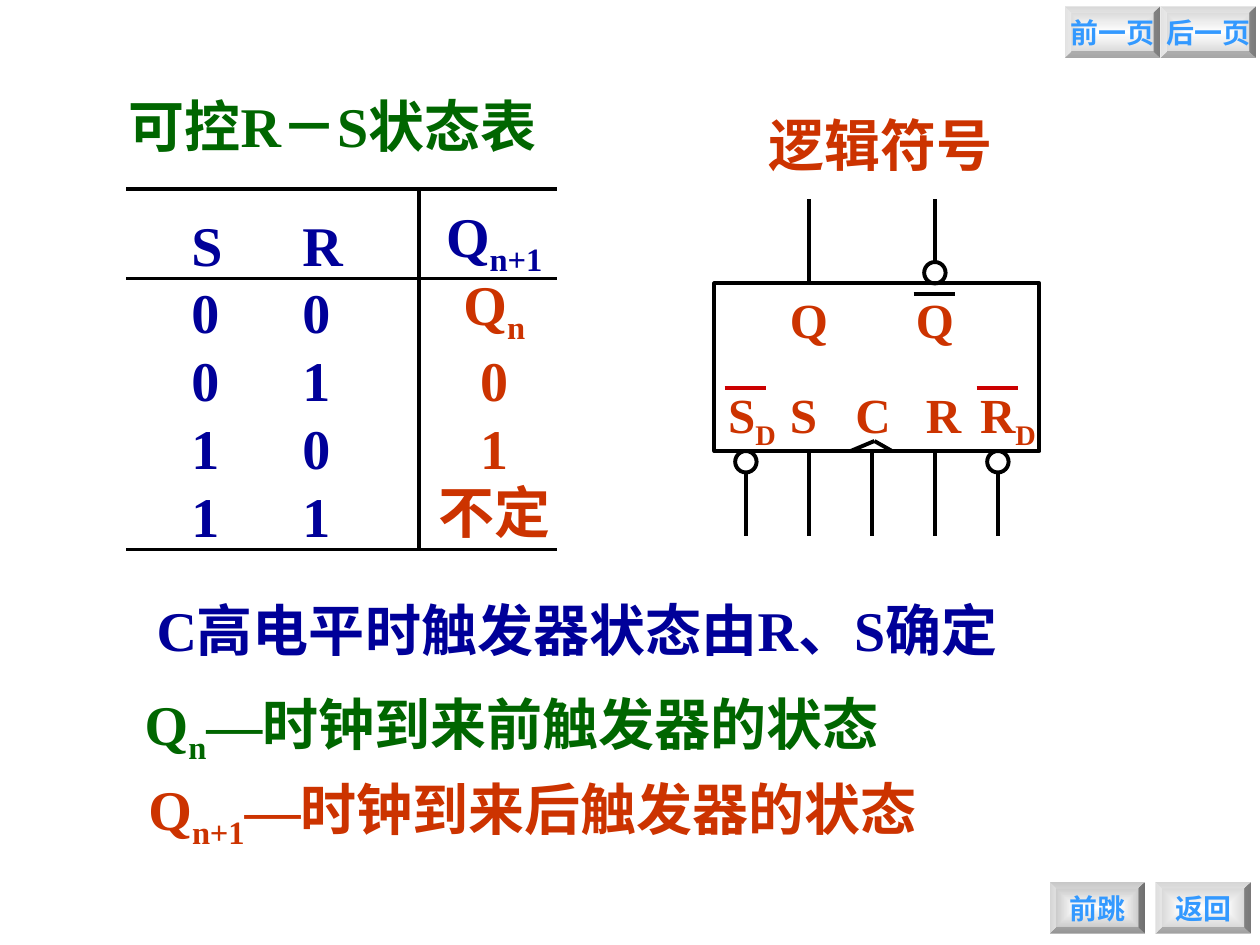
from dataclasses import dataclass

from lxml import etree
from pptx import Presentation
from pptx import util as u
from pptx.dml.color import RGBColor
from pptx.enum import shapes, text
from pptx.oxml.ns import qn


@dataclass(frozen=True)
class Theme:
    font: str = "Times New Roman"
    large: int = 32
    label: int = 28
    button: int = 16
    stroke: float = 2.25
    black: str = "000000"
    white: str = "FFFFFF"
    green: str = "006600"
    blue: str = "000099"
    orange: str = "CC3300"
    red: str = "CC0000"
    sky: str = "3399FF"


THEME = Theme()
LEFT, CENTER = text.PP_ALIGN.LEFT, text.PP_ALIGN.CENTER
TOP, MIDDLE, BOTTOM = (text.MSO_ANCHOR.TOP, text.MSO_ANCHOR.MIDDLE,
                       text.MSO_ANCHOR.BOTTOM)


def inches(*lengths):
    return [u.Inches(length) for length in lengths]


def write(para, parts, size, color, align=LEFT):
    """Write parts as runs; every second part is a subscript."""
    para.alignment = align
    para.font.name, para.font.size, para.font.bold = THEME.font, u.Pt(size), True
    para.font.color.rgb = RGBColor.from_string(color)
    for index, part in enumerate(parts):
        span = para.add_run()
        span.text = part
        if index % 2:
            span._r.get_or_add_rPr().set("baseline", "-25000")


def add_text(page, area, parts, size, color, align=LEFT, anchor=TOP):
    box = page.shapes.add_textbox(*inches(*area))
    box.text_frame.word_wrap = True
    box.text_frame.vertical_anchor = anchor
    write(box.text_frame.paragraphs[0], parts, size, color, align)


def add_line(page, start, end, color=THEME.black):
    line = page.shapes.add_connector(
        shapes.MSO_CONNECTOR.STRAIGHT, *inches(*start, *end))
    line.line.color.rgb = RGBColor.from_string(color)
    line.line.width = u.Pt(THEME.stroke)
    etree.SubElement(line.element.spPr, qn("a:effectLst"))


def add_outline(page, kind, area):
    shape = page.shapes.add_shape(kind, *inches(*area))
    shape.shadow.inherit = False
    shape.fill.background()
    shape.line.color.rgb = RGBColor.from_string(THEME.black)
    shape.line.width = u.Pt(THEME.stroke)


def set_borders(cell, visible):
    """Draw the named cell sides in black and hide the others."""
    properties = cell._tc.get_or_add_tcPr()
    for index, side in enumerate(("lnL", "lnR", "lnT", "lnB")):
        border = etree.Element(qn(f"a:{side}"), w=str(u.Pt(THEME.stroke)))
        if side in visible:
            fill = etree.SubElement(border, qn("a:solidFill"))
            etree.SubElement(fill, qn("a:srgbClr"), val=THEME.black)
        else:
            etree.SubElement(border, qn("a:noFill"))
        properties.insert(index, border)


def add_title(page, area):
    title = page.shapes.title
    title.left, title.top, title.width, title.height = inches(*area)
    title.text_frame.word_wrap = True
    title.text_frame.vertical_anchor = MIDDLE
    write(title.text_frame.paragraphs[0], ["可控R－S状态表"],
          THEME.large, THEME.green)


def add_state_table(page, area):
    rows = [
        (["S"], ["R"], ["Q", "n+1"]),
        (["0"], ["0"], ["Q", "n"]),
        (["0"], ["1"], ["0"]),
        (["1"], ["0"], ["1"]),
        (["1"], ["1"], ["不定"]),
    ]
    margins = (0.52, 0.1, 0.1)
    header_height = 0.71
    left, top, width, height = area
    table = page.shapes.add_table(len(rows), 3, *inches(*area)).table
    table.first_row = table.horz_banding = False
    for column, share in zip(table.columns, (0.38, 0.3, 0.32)):
        column.width = u.Inches(width * share)
    for r, row in enumerate(rows):
        table.rows[r].height = u.Inches(
            header_height if r == 0 else (height - header_height) / (len(rows) - 1))
        for c, parts in enumerate(row):
            cell = table.cell(r, c)
            cell.fill.background()
            cell.vertical_anchor = BOTTOM
            cell.margin_left = u.Inches(margins[c])
            cell.margin_right = cell.margin_top = cell.margin_bottom = 0
            result = c == 2
            color = THEME.orange if result and r else THEME.blue
            para = cell.text_frame.paragraphs[0]
            para.line_spacing = u.Pt(38)
            write(para, parts, THEME.large, color, CENTER if result else LEFT)
            sides = {"lnL" if result else "lnR"} if c else set()
            if r < 2:
                sides.add("lnT")
            if r in (0, len(rows) - 1):
                sides.add("lnB")
            set_borders(cell, sides)


def add_logic_symbol(page, area):
    """Draw the flip-flop block with its pins, bubbles and labels."""
    left, top, width, height = area
    bottom = top + height
    lead, bubble, pitch = 0.67, 0.17, 0.5
    pins = [left + 0.25 + pitch * i for i in range(5)]
    add_text(page, (left + 0.33, top - 1.42, 2.2, 0.64), ["逻辑符号"],
             THEME.large, THEME.orange)
    add_outline(page, shapes.MSO_SHAPE.RECTANGLE, area)

    leads = [(pins[1], top, -1, False), (pins[3], top, -1, True)]
    leads += [(x, bottom, 1, i in (0, 4)) for i, x in enumerate(pins)]
    for x, edge, direction, inverted in leads:
        start = edge
        if inverted:
            start += direction * bubble
            add_outline(page, shapes.MSO_SHAPE.OVAL,
                        (x - bubble / 2, min(edge, start), bubble, bubble))
        add_line(page, (x, start), (x, edge + direction * lead))

    clock = [(left + 1.08, bottom), (left + 1.27, bottom - 0.08),
             (left + 1.41, bottom)]
    for start, end in zip(clock, clock[1:]):
        add_line(page, start, end)

    labels = [(0.5, 0, ["Q"]), (1.5, 0, ["Q"]), (0.01, 0.75, ["S", "D"]),
              (0.5, 0.75, ["S"]), (1.02, 0.75, ["C"]), (1.58, 0.75, ["R"]),
              (2.01, 0.75, ["R", "D"])]
    for x, y, parts in labels:
        add_text(page, (left + x, top + y, 0.8, 0.6), parts,
                 THEME.label, THEME.orange)
    for x, y, color in ((1.58, 0.08, THEME.black), (0.08, 0.83, THEME.red),
                        (2.08, 0.83, THEME.red)):
        add_line(page, (left + x, top + y), (left + x + 0.33, top + y), color)


def add_statements(page, area):
    left, top, width, height = area
    add_text(page, (left, top, width, height), ["C高电平时触发器状态由R、S确定"],
             THEME.large, THEME.blue, CENTER, MIDDLE)
    add_text(page, (left + 1.05, top + 0.75, width - 1, 0.71),
             ["Q", "n", "—时钟到来前触发器的状态"], THEME.large, THEME.green)
    add_text(page, (left + 1.08, top + 1.43, width - 1, 0.71),
             ["Q", "n+1", "—时钟到来后触发器的状态"], THEME.large, THEME.orange)


def add_button(page, area, label, edge_color):
    button = page.shapes.add_shape(shapes.MSO_SHAPE.BEVEL, *inches(*area))
    button.shadow.inherit = False
    button.line.fill.background()
    button.fill.gradient()
    for stop, color in zip(button.fill.gradient_stops, (THEME.white, edge_color)):
        stop.color.rgb = RGBColor.from_string(color)
    gradient = button.element.spPr.find(qn("a:gradFill"))
    gradient.remove(gradient.find(qn("a:lin")))
    shading = etree.SubElement(gradient, qn("a:path"), {"path": "rect"})
    etree.SubElement(shading, qn("a:fillToRect"),
                     {side: "50000" for side in "ltrb"})
    button.text_frame.word_wrap = False
    button.text_frame.vertical_anchor = MIDDLE
    write(button.text_frame.paragraphs[0], [label],
          THEME.button, THEME.sky, CENTER)


def main():
    deck = Presentation()
    deck.slide_width, deck.slide_height = inches(10, 7.5)
    page = deck.slides.add_slide(deck.slide_layouts[5])
    add_title(page, (0.92, 0.67, 3.92, 0.64))
    add_state_table(page, (1, 1.5, 3.42, 2.86))
    add_logic_symbol(page, (5.67, 2.25, 2.58, 1.33))
    add_statements(page, (0, 4.67, 9.16, 0.64))
    for left, top, label, edge_color in (
            (8.45, 0.05, "前一页", "D0D0D0"), (9.21, 0.05, "后一页", "D0D0D0"),
            (8.33, 7, "前跳", "BABABA"), (9.17, 7, "返回", "CBCBCB")):
        add_button(page, (left, top, 0.76, 0.41), label, edge_color)
    deck.save("out.pptx")


if __name__ == "__main__":
    main()
